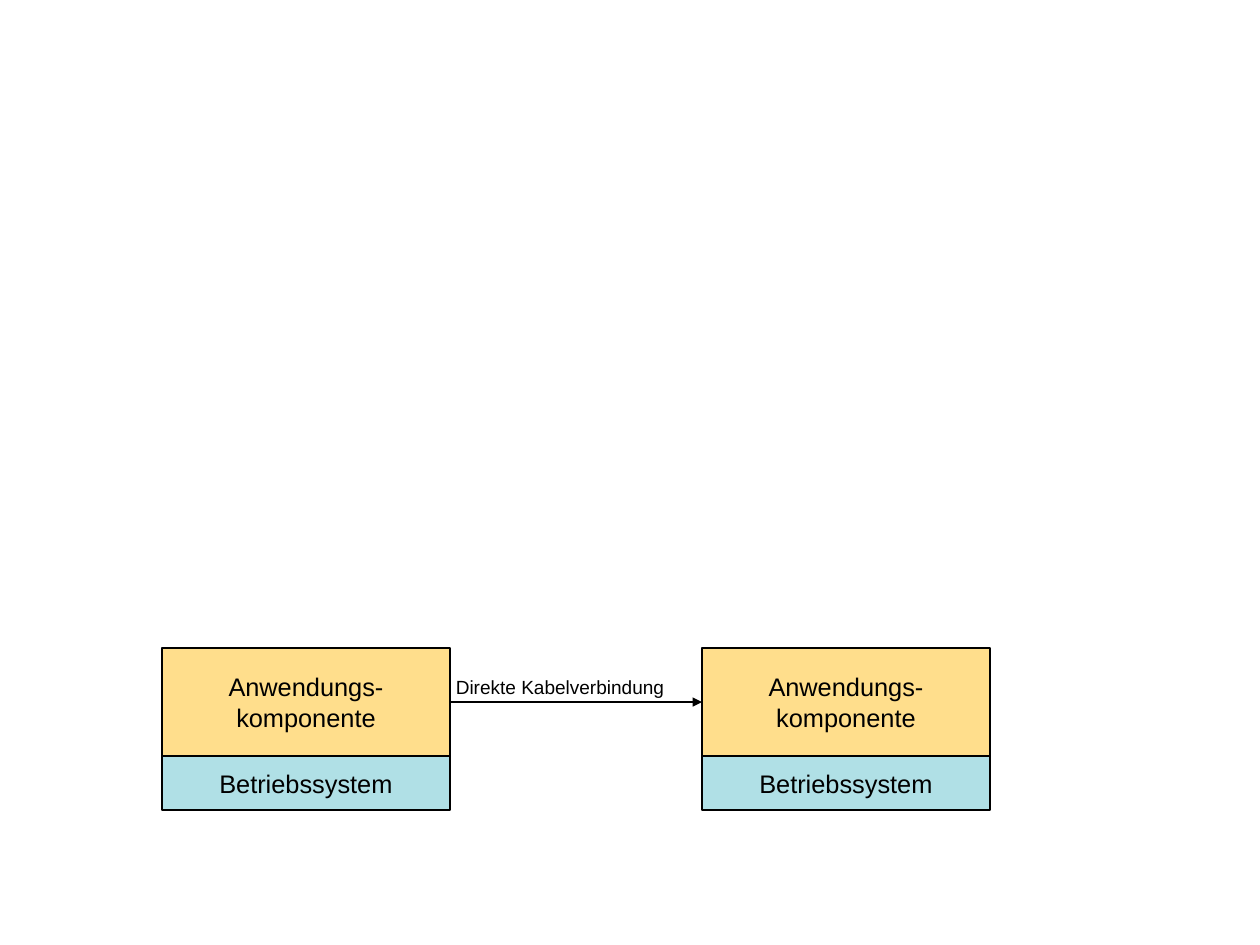
"""Build a slide showing two systems joined by a direct cable connection."""
from dataclasses import dataclass

from lxml import etree
from pptx import Presentation
from pptx.dml.color import RGBColor
from pptx.enum.shapes import MSO_CONNECTOR, MSO_SHAPE
from pptx.enum.text import MSO_ANCHOR, MSO_AUTO_SIZE, PP_ALIGN
from pptx.oxml.ns import qn
from pptx.slide import Slide
from pptx.text.text import TextFrame
from pptx.util import Cm, Pt

RECTANGLE = MSO_SHAPE.RECTANGLE
STRAIGHT = MSO_CONNECTOR.STRAIGHT
MIDDLE, TOP = MSO_ANCHOR.MIDDLE, MSO_ANCHOR.TOP
CENTER, LEFT = PP_ALIGN.CENTER, PP_ALIGN.LEFT
FIT_SHAPE = MSO_AUTO_SIZE.SHAPE_TO_FIT_TEXT

FONT = "Arial"
COLORS = {"ink": "000000", "application": "FFDE8C", "system": "B0E0E6"}
SYSTEM_LEFTS = (15.6, 3.6)
SYSTEM_WIDTH = 6.4
CABLE_Y = 15.6


@dataclass(frozen=True)
class Layer:
    """One layer of a system, with lengths in centimetres."""
    top: float
    height: float
    color: str
    lines: tuple[str, ...]


LAYERS = (
    Layer(16.8, 1.2, "system", ("Betriebssystem",)),
    Layer(14.4, 2.4, "application", ("Anwendungs-", "komponente")),
)


def rgb(name: str) -> RGBColor:
    """Return the named colour."""
    return RGBColor.from_string(COLORS[name])


def write_text(tf: TextFrame, lines: tuple[str, ...], size: float, align: PP_ALIGN,
               anchor: MSO_ANCHOR, inset_x: float, inset_y: float) -> None:
    """Fill a text frame with one paragraph per line."""
    tf.word_wrap = False
    tf.vertical_anchor = anchor
    tf.margin_left = tf.margin_right = Cm(inset_x)
    tf.margin_top = tf.margin_bottom = Cm(inset_y)
    for i, line in enumerate(lines):
        p = tf.add_paragraph() if i else tf.paragraphs[0]
        p.alignment = align
        r = p.add_run()
        r.text = line
        r.font.name = FONT
        r.font.size = Pt(size)
        r.font.color.rgb = rgb("ink")


def draw_layer(s: Slide, left: float, layer: Layer) -> None:
    """Draw one labelled layer of a system."""
    sp = s.shapes.add_shape(RECTANGLE, Cm(left), Cm(layer.top),
                            Cm(SYSTEM_WIDTH), Cm(layer.height))
    sp.shadow.inherit = False
    sp.fill.solid()
    sp.fill.fore_color.rgb = rgb(layer.color)
    sp.line.color.rgb = rgb("ink")
    sp.line.width = Pt(0.85)
    write_text(sp.text_frame, layer.lines, 16, CENTER, MIDDLE, 0.25, 0.15)


def draw_cable(s: Slide, start: float, end: float) -> None:
    """Draw the cable arrow and its label."""
    cable = s.shapes.add_connector(STRAIGHT, Cm(start), Cm(CABLE_Y), Cm(end), Cm(CABLE_Y))
    cable.line.color.rgb = rgb("ink")
    cable.line.width = Pt(1.42)
    etree.SubElement(cable.line._get_or_add_ln(), qn("a:tailEnd"), type="triangle")
    etree.SubElement(cable._element.spPr, qn("a:effectLst"))

    label = s.shapes.add_textbox(Cm(start), Cm(14.88), Cm(4.9), Cm(0.74))
    write_text(label.text_frame, ("Direkte Kabelverbindung",), 12, LEFT, TOP, 0.13, 0.13)
    label.text_frame.auto_size = FIT_SHAPE


def main() -> None:
    """Build and save the slide."""
    prs = Presentation()
    prs.slide_width, prs.slide_height = Cm(28), Cm(21)
    s = prs.slides.add_slide(prs.slide_layouts[6])
    for left in SYSTEM_LEFTS:
        for layer in LAYERS:
            draw_layer(s, left, layer)
    draw_cable(s, min(SYSTEM_LEFTS) + SYSTEM_WIDTH, max(SYSTEM_LEFTS))
    prs.save("out.pptx")


if __name__ == "__main__":
    main()
